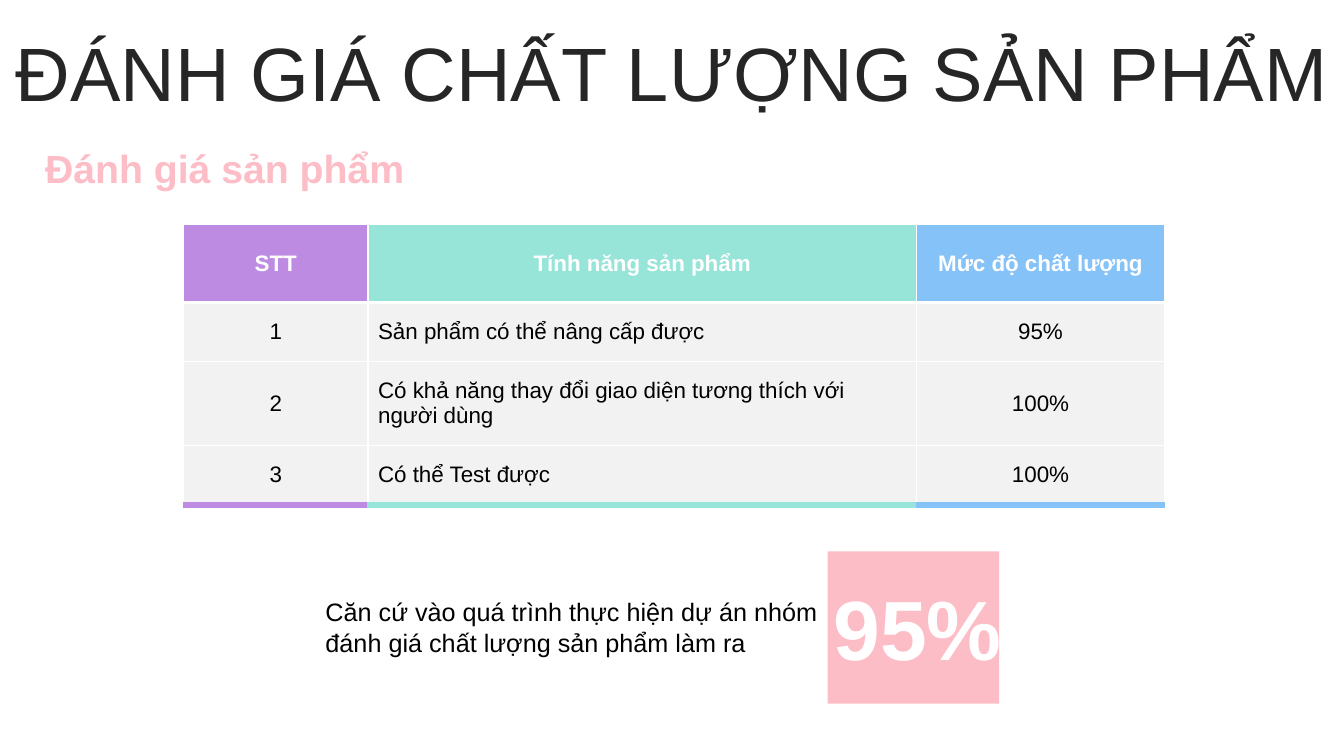
import pptx
import pptx.util
import pptx.oxml
import pptx.oxml.ns
import pptx.dml.color
import pptx.enum.shapes
import pptx.enum.text
import lxml.etree

RGB = pptx.dml.color.RGBColor
WHITE = RGB(0xFF, 0xFF, 0xFF)
BLACK = RGB(0x00, 0x00, 0x00)
DARK = RGB(0x26, 0x26, 0x26)
PINK = RGB(0xFD, 0xBD, 0xC7)
GREY = RGB(0xF2, 0xF2, 0xF2)
PURPLE = RGB(0xBE, 0x8B, 0xE2)
MINT = RGB(0x96, 0xE5, 0xD8)
BLUE = RGB(0x85, 0xC2, 0xF8)
PX = 9144  # 100 px to the inch
LEFT = pptx.enum.text.PP_ALIGN.LEFT
CENTER = pptx.enum.text.PP_ALIGN.CENTER
MIDDLE = pptx.enum.text.MSO_ANCHOR.MIDDLE


def write(tf, text, size, color, bold=False, align=LEFT):
    tf.text = text
    tf.word_wrap = True
    p = tf.paragraphs[0]
    p.alignment = align
    font = p.runs[0].font
    font.name = "Arial"
    font.size = pptx.util.Pt(size)
    font.bold = bold
    font.color.rgb = color


def set_borders(cell, bottom_color, bottom_width):
    tcPr = cell._tc.get_or_add_tcPr()
    edges = [("lnL", WHITE, 1), ("lnR", WHITE, 1), ("lnT", WHITE, 1),
             ("lnB", bottom_color, bottom_width)]
    for i, (tag, color, width) in enumerate(edges):
        ln = lxml.etree.Element(pptx.oxml.ns.qn("a:" + tag), w=str(int(width * 12700)))
        fill = lxml.etree.SubElement(ln, pptx.oxml.ns.qn("a:solidFill"))
        lxml.etree.SubElement(fill, pptx.oxml.ns.qn("a:srgbClr"), val=str(color))
        tcPr.insert(i, ln)


prs = pptx.Presentation()
prs.slide_width = 1333 * PX
prs.slide_height = 750 * PX
s = prs.slides.add_slide(prs.slide_layouts[5])

# Title
title = s.shapes.title
title.left, title.top, title.width, title.height = 0, 37 * PX, 1333 * PX, 79 * PX
tf = title.text_frame
write(tf, "ĐÁNH GIÁ CHẤT LƯỢNG SẢN PHẨM", 54, DARK, align=CENTER)
tf.auto_size = pptx.enum.text.MSO_AUTO_SIZE.NONE
tf.vertical_anchor = MIDDLE
tf.margin_left = tf.margin_right = 0
tf.paragraphs[0].line_spacing = 0.9

# Quality table
rows = [
    ("STT", "Tính năng sản phẩm", "Mức độ chất lượng"),
    ("1", "Sản phẩm có thể nâng cấp được", "95%"),
    ("2", "Có khả năng thay đổi giao diện tương thích với người dùng", "100%"),
    ("3", "Có thể Test được", "100%"),
]
column_colors = [PURPLE, MINT, BLUE]
table = s.shapes.add_table(4, 3, 182 * PX, 223 * PX, 973 * PX, 278 * PX).table
for column, width in zip(table.columns, [183, 544, 246]):
    column.width = width * PX
for row, height in zip(table.rows, [77, 59, 83, 59]):
    row.height = height * PX
for i, row in enumerate(rows):
    header, last = i == 0, i == len(rows) - 1
    for j, text in enumerate(row):
        cell = table.cell(i, j)
        cell.vertical_anchor = MIDDLE
        cell.fill.solid()
        cell.fill.fore_color.rgb = column_colors[j] if header else GREY
        write(cell.text_frame, text, 16, WHITE if header else BLACK, header,
              LEFT if j == 1 and not header else CENTER)
        set_borders(cell, column_colors[j] if last else WHITE,
                    3 if header else 4.5 if last else 1)

# Pink square behind the score
square = s.shapes.add_shape(pptx.enum.shapes.MSO_SHAPE.RECTANGLE,
                            821 * PX, 547 * PX, 170 * PX, 151 * PX)
square.shadow.inherit = False
square.fill.solid()
square.fill.fore_color.rgb = PINK
square.line.fill.background()

# Subtitle, conclusion and score
labels = [
    ("Đánh giá sản phẩm", (35, 138, 506, 57), 28, PINK, True, LEFT),
    ("Căn cứ vào quá trình thực hiện dự án nhóm đánh giá chất lượng sản phẩm làm ra",
     (313, 587, 564, 71), 18, BLACK, False, LEFT),
    ("95%", (808, 567, 204, 111), 60, WHITE, True, CENTER),
]
for text, box, size, color, bold, align in labels:
    tf = s.shapes.add_textbox(*[v * PX for v in box]).text_frame
    write(tf, text, size, color, bold, align)

prs.save("out.pptx")
